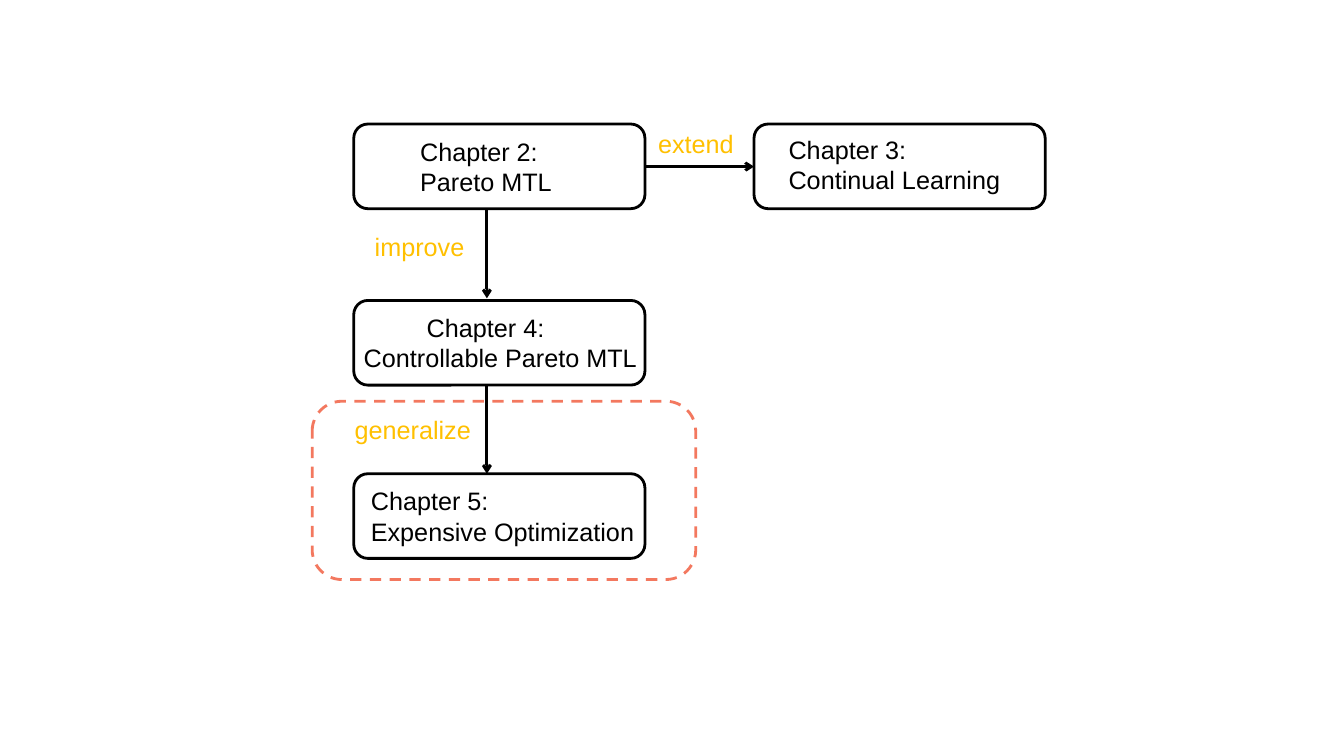
from lxml import etree
from pptx import Presentation
from pptx import util as u
from pptx.dml.color import RGBColor
from pptx.enum import dml, shapes, text
from pptx.oxml.ns import qn

WIDE, HIGH = 208, 60.5
LEFT, RIGHT = 252.7, 538.6
TOP, MID, LOW = 88.6, 214.6, 338.4
STEM = 347.8
BLACK, GOLD, CORAL = "000000", "FFC000", "F3785F"
FONT = {"name": "Arial", "size": u.Pt(18)}
FRAME = {"auto_size": text.MSO_AUTO_SIZE.NONE,
         "vertical_anchor": text.MSO_ANCHOR.TOP}


def color(code):
    return RGBColor.from_string(code)


def apply(item, style):
    for key, value in style.items():
        setattr(item, key, value)


def points(*values):
    return [u.Pt(value) for value in values]


def stroke(line, code):
    line.color.rgb = color(code)
    line.width = u.Pt(2)


def box(slide, left, top, wide=WIDE, high=HIGH, code=BLACK, dash=None):
    shape = slide.shapes.add_shape(shapes.MSO_SHAPE.ROUNDED_RECTANGLE,
                                   *points(left, top, wide, high))
    shape.adjustments[0] = 0.167
    shape.shadow.inherit = False
    shape.fill.background()
    stroke(shape.line, code)
    if dash:
        shape.line.dash_style = dash


def arrow(slide, *ends):
    link = slide.shapes.add_connector(shapes.MSO_CONNECTOR.STRAIGHT,
                                      *points(*ends))
    stroke(link.line, BLACK)
    etree.SubElement(link.line._get_or_add_ln(), qn("a:tailEnd"), type="arrow")
    etree.SubElement(link._element.spPr, qn("a:effectLst"))


def label(slide, lines, left, top, wide, high=28.8, code=BLACK, indent=0):
    """Add unwrapped lines of text; indent shifts the first line only."""
    frame = slide.shapes.add_textbox(*points(left, top, wide, high)).text_frame
    apply(frame, FRAME)
    frame.word_wrap = bool(indent)
    for num, line in enumerate(lines):
        para = frame.add_paragraph() if num else frame.paragraphs[0]
        run = para.add_run()
        run.text = line
        apply(run.font, FONT)
        run.font.color.rgb = color(code)
    if indent:
        first = frame.paragraphs[0]._p.get_or_add_pPr()
        first.set("marL", "0")
        first.set("indent", str(u.Pt(indent)))


def main():
    deck = Presentation()
    apply(deck, {"slide_width": u.Pt(960), "slide_height": u.Pt(540)})
    slide = deck.slides.add_slide(deck.slide_layouts[6])

    for left, top in ((LEFT, TOP), (RIGHT, TOP), (LEFT, MID), (LEFT, LOW)):
        box(slide, left, top)
    box(slide, 223, 286.6, 274, 127.4, CORAL, dml.MSO_LINE.DASH)

    arrow(slide, LEFT + WIDE, 119, RIGHT, 119)
    arrow(slide, STEM, TOP + HIGH, STEM, MID - 1.5)
    arrow(slide, STEM, MID + HIGH, STEM, LOW)

    chapters = (
        ("Chapter 2:", "Pareto MTL", 293, 93.6, 108.7, 0),
        ("Chapter 3:", "Continual Learning", 556.2, 92.2, 165.6, 0),
        ("Chapter 4:", "Controllable Pareto MTL", LEFT, 219.6, 217.4, 45),
        ("Chapter 5:", "Expensive Optimization", 257.8, 343.4, 202.3, 0),
    )
    for head, name, left, top, wide, indent in chapters:
        label(slide, (head, name), left, top, wide, 50.4, indent=indent)

    links = (
        ("extend", 463, 87.8, 68.4),
        ("improve", 260.6, 162, 78.5),
        ("generalize", 246.2, 292.3, 97.2),
    )
    for word, left, top, wide in links:
        label(slide, (word,), left, top, wide, code=GOLD)

    deck.save("out.pptx")


if __name__ == "__main__":
    main()
